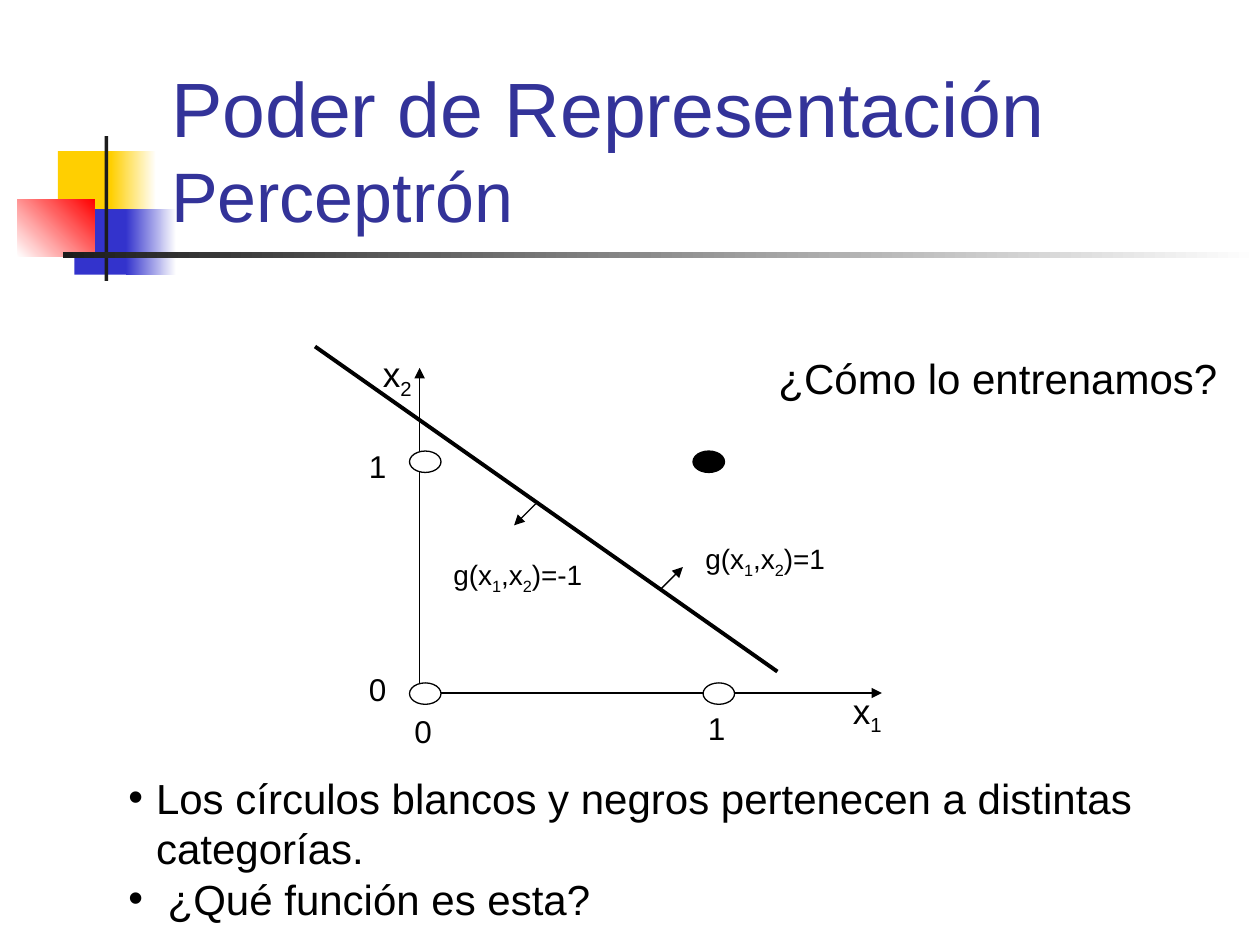
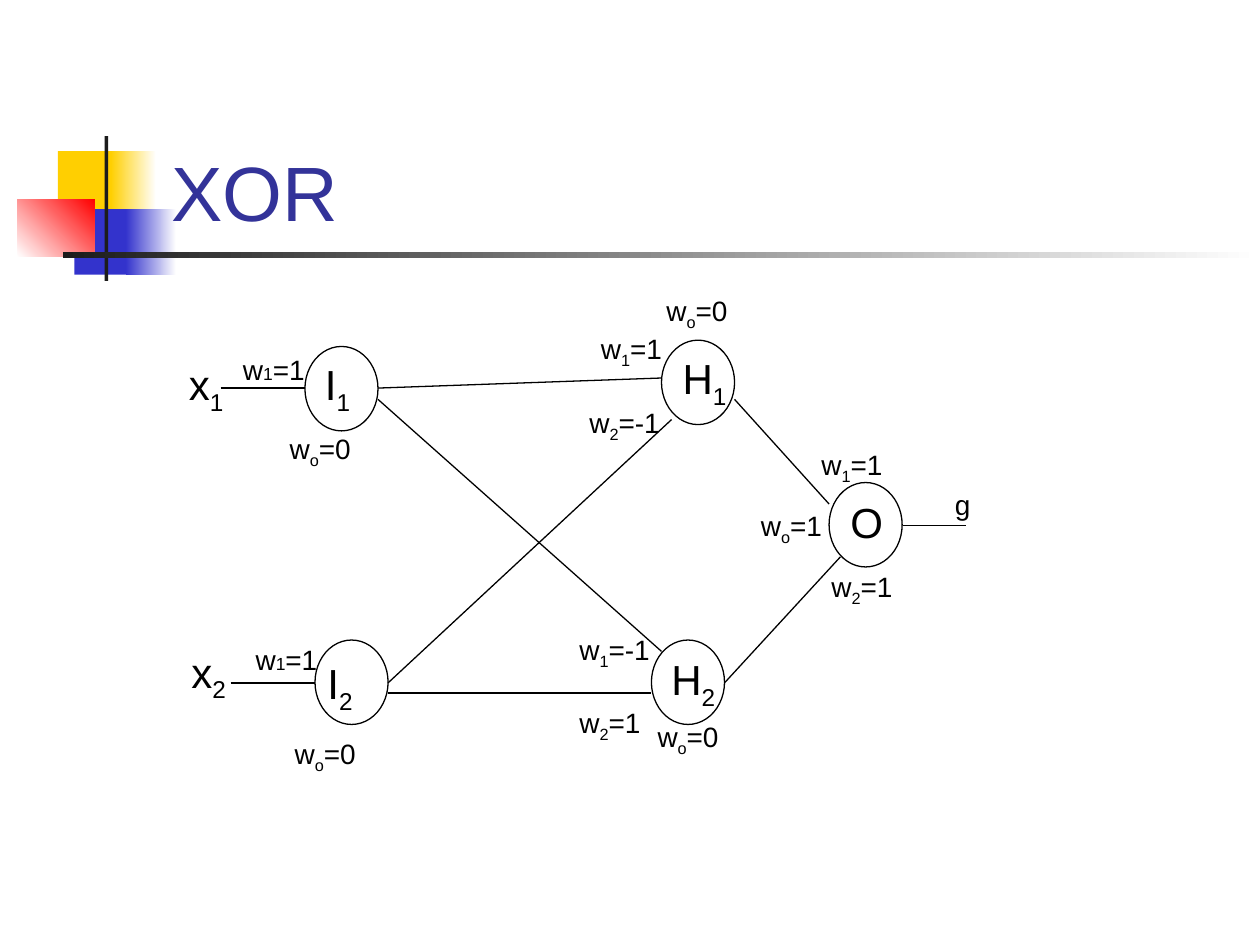
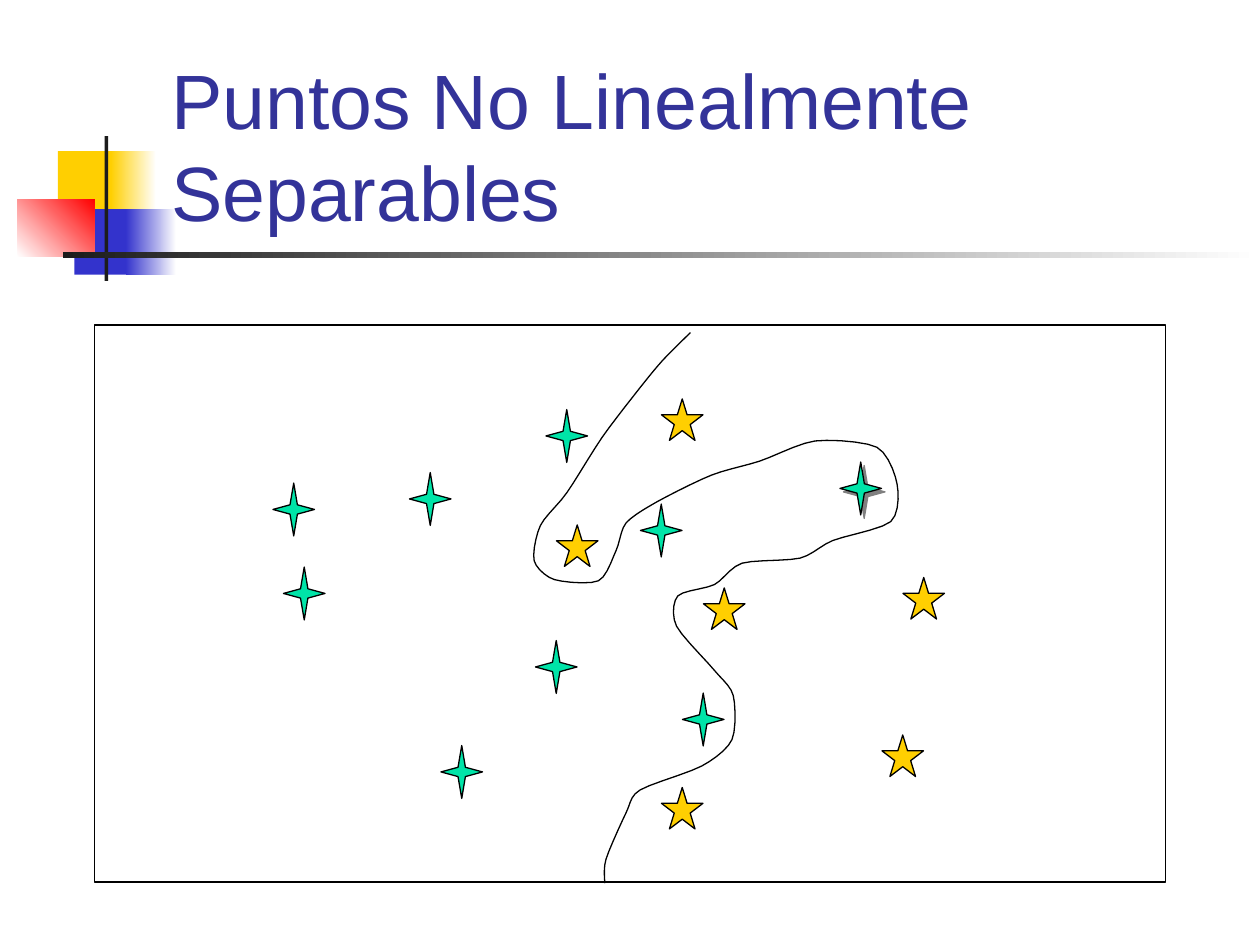
"""Builds three slides on perceptrons, XOR and points that no line can separate."""
import pptx
import pptx.dml.color
import pptx.enum.shapes
import pptx.enum.text
import pptx.oxml.ns
import pptx.util

KIND = pptx.enum.shapes.MSO_SHAPE
INK = {"black": "000000", "white": "FFFFFF", "title": "333399", "gold": "FFCF01",
       "blue": "3333CC", "red": "FF0000", "dark": "1C1C1C", "green": "00E4A8", "shade": "808080"}
TALL = {16: 0.37, 18: 0.4, 20: 0.43, 24: 0.5}
BAND = [
    ((0.46, 1.2, 0.48, 0.52), "gold", None, 0),
    ((0.88, 1.2, 0.36, 0.52), "gold", "white", 0),
    ((0.59, 1.66, 0.46, 0.52), "blue", None, 0),
    ((1, 1.66, 0.4, 0.52), "blue", "white", 0),
    ((0.14, 1.58, 0.61, 0.46), "white", "red", 45),
    ((0.83, 1.08, 0.03, 1.15), "dark", None, 0),
    ((0.5, 2, 9.5, 0.05), "dark", "white", 0),
]
EDGE = [
    (5.48, 2.64), (5.26, 2.86), (5.07, 3.09), (4.78, 3.47), (4.5, 3.91), (4.29, 4.17),
    (4.24, 4.45), (4.4, 4.6), (4.75, 4.61), (4.89, 4.37), (4.97, 4.15), (5.22, 3.98),
    (5.65, 3.77), (6.03, 3.66), (6.47, 3.5), (6.96, 3.55), (7.12, 3.84), (7.07, 4.14),
    (6.61, 4.29), (6.35, 4.43), (5.89, 4.47), (5.67, 4.64), (5.38, 4.73), (5.37, 4.97),
    (5.67, 5.32), (5.82, 5.52), (5.81, 5.87), (5.57, 6.08), (5.08, 6.27), (4.97, 6.45),
    (4.81, 6.82), (4.8, 7.01),
]


def cm(inch):
    return pptx.util.Cm(inch * 2.54)


def rgb(ink):
    return pptx.dml.color.RGBColor.from_string(INK[ink])


def add_tag(home, tag, **attrs):
    child = home.makeelement(pptx.oxml.ns.qn(tag), attrs)
    home.append(child)
    return child


def bend(nodes, steps=5, pull=0.4):
    ends = [nodes[0], *nodes, nodes[-1]]
    for a, b, c, d in zip(ends, ends[1:], ends[2:], ends[3:]):
        for t in (n / steps for n in range(1, steps + 1)):
            ease = t * t * (3 - 2 * t)
            yield tuple(cm(q + (r - q) * ease + pull * (r - p) * t * (1 - t) ** 2
                           - pull * (s - q) * t * t * (1 - t))
                        for p, q, r, s in zip(a, b, c, d))


class Deck:
    def __init__(self):
        self.show = pptx.Presentation()
        self.show.slide_width, self.show.slide_height = cm(10), cm(7.5)
        self.font = "Arial"
        self.page = None

    def start(self, title):
        self.page = self.show.slides.add_slide(self.show.slide_layouts[6]).shapes
        for box, ink, fade, turn in BAND:
            self.shape(KIND.RECTANGLE, box, ink, None, fade, turn)
        frame = self.page.add_textbox(*map(cm, (1.26, 0.68, 8.52, 1.25))).text_frame
        frame.word_wrap = True
        frame.vertical_anchor = pptx.enum.text.MSO_ANCHOR.BOTTOM
        frame.text = title
        for run, size in zip(frame.paragraphs[0].runs, (44, 40)):
            self.style(run, size, "title")

    def style(self, run, size, ink="black"):
        run.font.name = self.font
        run.font.size = pptx.util.Pt(size)
        run.font.color.rgb = rgb(ink)

    def shape(self, kind, box, ink=None, line="black", fade=None, turn=0):
        item = self.page.add_shape(kind, *map(cm, box))
        item.shadow.inherit = False
        if fade:
            item.fill.gradient()
            item.fill.gradient_angle = turn
            for stop, tint in zip(item.fill.gradient_stops, (ink, fade)):
                stop.color.rgb = rgb(tint)
        elif ink:
            item.fill.solid()
            item.fill.fore_color.rgb = rgb(ink)
        else:
            item.fill.background()
        self.pen(item.line, line)
        return item

    def pen(self, line, ink="black", width=0.75):
        if ink:
            line.color.rgb = rgb(ink)
            line.width = pptx.util.Pt(width)
        else:
            line.fill.background()

    def line(self, start, end, width=0.75, tip=None):
        item = self.page.add_connector(pptx.enum.shapes.MSO_CONNECTOR.STRAIGHT,
                                       *map(cm, start + end))
        self.pen(item.line, width=width)
        if tip:
            add_tag(item.get_or_add_ln(), tip, type="triangle")
        add_tag(item._element.spPr, "a:effectLst")

    def frame(self, left, top, width, height, wrap):
        frame = self.page.add_textbox(*map(cm, (left, top, width, height))).text_frame
        frame.word_wrap = wrap
        frame.auto_size = pptx.enum.text.MSO_AUTO_SIZE.SHAPE_TO_FIT_TEXT
        return frame

    def label(self, text, left, top, width, size, wrap=True, small=None):
        para = self.frame(left, top, width, TALL[size], wrap).paragraphs[0]
        head, *rest = text.split("_")
        parts = [(head, False)]
        for part in rest:
            parts += [(part[0], True), (part[1:], False)]
        for part, low in parts:
            if part:
                run = para.add_run()
                run.text = part
                self.style(run, small if low and small else size)
                if low and not small:
                    run._r.get_or_add_rPr().set("baseline", "-25000")

    def points(self, rows, box, size):
        frame = self.frame(*box, True)
        frame.text = "\n".join(rows)
        for para in frame.paragraphs:
            self.style(para.runs[0], size)
            props = para._p.get_or_add_pPr()
            props.set("marL", str(cm(0.22)))
            props.set("indent", str(cm(-0.22)))
            add_tag(props, "a:buFont", typeface=self.font)
            add_tag(props, "a:buChar", char="•")

    def curve(self, nodes):
        draft = self.page.build_freeform(*map(cm, nodes[0]), scale=1.0)
        draft.add_line_segments(list(bend(nodes)), close=False)
        item = draft.convert_to_shape()
        item.shadow.inherit = False
        item.fill.background()
        self.pen(item.line)

    def spark(self, col, row):
        item = self.shape(KIND.STAR_4_POINT, (col / 12, row / 12, 0.33, 0.42), "green")
        item.adjustments[0] = 0.125
        return item

    def star(self, col, row):
        self.shape(KIND.STAR_5_POINT, (col / 12, row / 12, 0.33, 0.33), "gold")

    def shade(self, item):
        glow = item._element.spPr.find(pptx.oxml.ns.qn("a:effectLst"))
        cast = add_tag(glow, "a:outerShdw", dist=str(pptx.util.Pt(2.8)), dir="2700000",
                       algn="ctr", rotWithShape="0")
        add_tag(cast, "a:srgbClr", val=INK["shade"])


def draw_plot(deck):
    deck.start("Poder de Representación\vPerceptrón")
    deck.line((3.33, 2.92), (3.33, 5.5), tip="a:headEnd")
    deck.line((3.33, 5.5), (7, 5.5), tip="a:tailEnd")
    for left, top, ink in ((3.25, 5.42, "white"), (5.58, 5.42, "white"),
                           (3.25, 3.58, "white"), (5.5, 3.58, "black")):
        deck.shape(KIND.OVAL, (left, top, 0.25, 0.17), ink)
    for text, left, top, size in (("x_2", 2.94, 2.75, 20), ("x_1", 6.67, 5.42, 20),
                                  ("1", 2.83, 3.5, 18), ("0", 2.83, 5.27, 18),
                                  ("0", 3.19, 5.6, 18), ("1", 5.52, 5.58, 18)):
        deck.label(text, left, top, 0.48, size)
    deck.line((2.5, 2.75), (6.17, 5.33), 2.25)
    deck.line((4.25, 4), (4.08, 4.17), tip="a:tailEnd")
    deck.line((5.25, 4.67), (5.42, 4.5), tip="a:tailEnd")
    deck.label("g(x_1,x_2)=-1", 3.5, 4.38, 1.25, 16, False)
    deck.label("g(x_1,x_2)=1", 5.5, 4.25, 1.18, 16, False)
    deck.points(["Los círculos blancos y negros pertenecen a distintas categorías.",
                 " ¿Qué función es esta?"], (0.92, 6.08, 8.18, 1.3), 24)
    deck.label("¿Cómo lo entrenamos?", 6.08, 2.75, 3.68, 24, False)


def draw_net(deck):
    deck.start("XOR")
    for text, left, top, width, inset, drop in (
            ("I_1", 2.42, 2.75, 0.42, 0.06, 0.05), ("I_2", 2.5, 5.08, 0.42, 0, 0.09),
            ("H_1", 5.25, 2.7, 0.57, 0.07, 0.05), ("H_2", 5.17, 5.08, 0.57, 0.06, 0.06),
            ("O", 6.58, 3.83, 0.46, 0.07, 0.06)):
        deck.shape(KIND.OVAL, (left, top, 0.58, 0.67))
        deck.label(text, left + inset, top + drop, width, 24, False)
    for start, end in (((3, 3.17), (5.25, 5.17)), ((3.08, 5.42), (5.33, 3.33)),
                       ((3, 3.08), (5.25, 3)), ((3.08, 5.5), (5.17, 5.5)),
                       ((5.83, 3.17), (6.58, 4)), ((5.75, 5.42), (6.67, 4.42)),
                       ((7.17, 4.17), (7.67, 4.17)), ((1.75, 3.08), (2.42, 3.08)),
                       ((1.83, 5.42), (2.5, 5.42))):
        deck.line(start, end)
    for text, left, top in (("w_1=1", 4.67, 2.58), ("w_2=-1", 4.58, 3.17),
                            ("w_1=-1", 4.5, 4.97), ("w_2=1", 4.5, 5.55),
                            ("w_1=1", 6.42, 3.5), ("w_2=1", 6.5, 4.47),
                            ("w_o=1", 5.94, 3.99), ("w_o=0", 5.19, 2.28),
                            ("w_o=0", 5.12, 5.66), ("w_o=0", 2.2, 3.38),
                            ("w_o=0", 2.24, 5.8)):
        deck.label(text, left, top, 0.85 if "-" in text else 0.75, 16)
    for text, left, top, side, rise in (("x_1", 1.4, 2.8, 1.83, 2.75),
                                        ("x_2", 1.42, 5.08, 1.93, 5.05)):
        deck.label(text, left, top, 0.49, 24, False)
        deck.label("w_1=1", side, rise, 0.75, 16, small=10)
    deck.label("g", 7.48, 3.82, 0.32, 16, False)


def draw_stars(deck):
    deck.start("Puntos No Linealmente Separables")
    deck.shape(KIND.RECTANGLE, (0.75, 2.58, 8.5, 4.42), "white")
    for col, row in ((26, 46), (27, 54), (39, 45), (51, 61),
                     (52, 39), (42, 71), (61, 48), (65, 66)):
        deck.spark(col, row)
    for col, row in ((86, 55), (53, 50), (67, 56), (63, 38), (84, 70), (63, 75)):
        deck.star(col, row)
    deck.shade(deck.spark(80, 44))
    deck.curve(EDGE)


def main():
    deck = Deck()
    draw_plot(deck)
    draw_net(deck)
    draw_stars(deck)
    deck.show.save("out.pptx")


if __name__ == "__main__":
    main()
